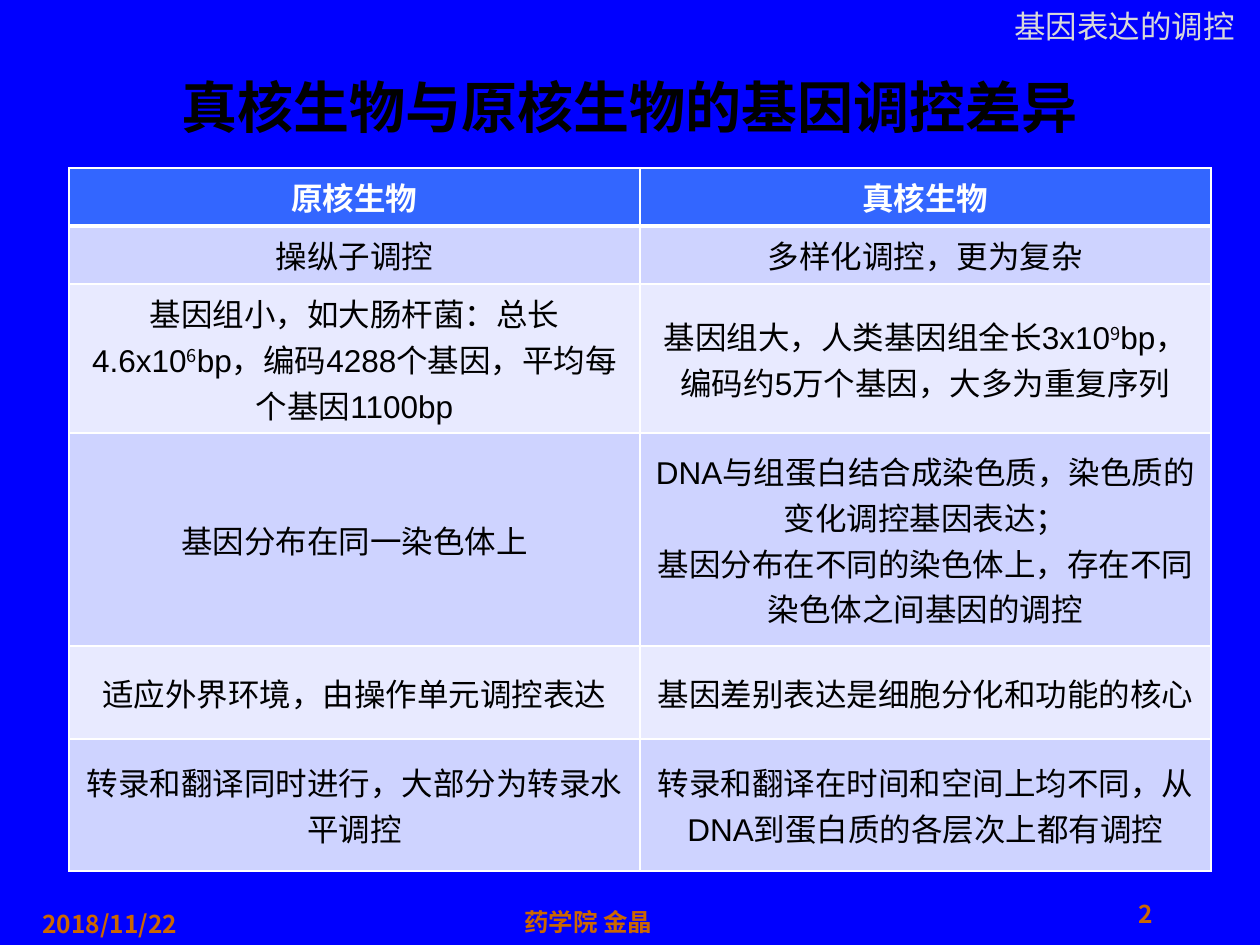
from lxml.etree import SubElement
from pptx import Presentation
from pptx.dml.color import RGBColor
from pptx.enum.text import MSO_ANCHOR as Anchor, PP_ALIGN as Align
from pptx.oxml.ns import qn
from pptx.util import Pt

EMU_PER_PX = 914400 / 126
CJK, LATIN = "Noto Sans CJK JP", "Arial"
WHITE, BLACK, ORANGE = "FFFFFF", "000000", "CC6600"
HEADER_FILL, BAND_FILLS = "3366FF", ("CED3FF", "E8EAFF")

COLUMN_WIDTHS = [571, 571]
ROW_HEIGHTS = [58, 58, 149, 213, 93, 132]
# A cell is a list of paragraphs; "^" encloses a superscript.
COMPARISON = [
    (["原核生物"], ["真核生物"]),
    (["操纵子调控"], ["多样化调控，更为复杂"]),
    (["基因组小，如大肠杆菌：总长4.6x10^6^bp，编码4288个基因，平均每个基因1100bp"],
     ["基因组大，人类基因组全长3x10^9^bp，编码约5万个基因，大多为重复序列"]),
    (["基因分布在同一染色体上"],
     ["DNA与组蛋白结合成染色质，染色质的变化调控基因表达；",
      "基因分布在不同的染色体上，存在不同染色体之间基因的调控"]),
    (["适应外界环境，由操作单元调控表达"], ["基因差别表达是细胞分化和功能的核心"]),
    (["转录和翻译同时进行，大部分为转录水平调控"],
     ["转录和翻译在时间和空间上均不同，从DNA到蛋白质的各层次上都有调控"]),
]


def px(length):
    return round(length * EMU_PER_PX)


def rgb(value):
    return RGBColor.from_string(value)


class SlideWriter:
    def __init__(self, slide, background):
        self.slide = slide
        slide.background.fill.solid()
        slide.background.fill.fore_color.rgb = rgb(background)

    def style(self, paragraph, size, color, bold, align, latin=CJK):
        paragraph.alignment = align
        font = paragraph.font
        font.size, font.bold, font.name = Pt(size), bold, latin
        font.color.rgb = rgb(color)
        defaults = paragraph._p.pPr.find(qn("a:defRPr"))
        SubElement(defaults, qn("a:ea"), typeface=CJK)

    def text(self, box, wording, size, color, bold=True, align=Align.LEFT,
             anchor=Anchor.MIDDLE, wrap=True):
        frame = self.slide.shapes.add_textbox(*map(px, box)).text_frame
        frame.word_wrap, frame.vertical_anchor = wrap, anchor
        paragraph = frame.paragraphs[0]
        paragraph.add_run().text = wording
        self.style(paragraph, size, color, bold, align)

    def table(self, left, top, widths, heights, rows):
        box = (left, top, sum(widths), sum(heights))
        grid = self.slide.shapes.add_table(
            len(rows), len(widths), *map(px, box)).table
        for column, width in zip(grid.columns, widths):
            column.width = px(width)
        for index, (height, row) in enumerate(zip(heights, rows)):
            grid.rows[index].height = px(height)
            for cell, paragraphs in zip(grid.rows[index].cells, row):
                self.cell(cell, paragraphs, index)

    def cell(self, cell, paragraphs, row):
        header = row == 0
        cell.vertical_anchor = Anchor.TOP if header else Anchor.MIDDLE
        frame = cell.text_frame
        for number, wording in enumerate(paragraphs):
            paragraph = frame.add_paragraph() if number else frame.paragraphs[0]
            self.superscripted(paragraph, wording)
            self.style(paragraph, 18, WHITE if header else BLACK, header,
                       Align.CENTER, LATIN)
        self.borders(cell, top=3 if row == 1 else 1, bottom=3 if header else 1)
        cell.fill.solid()
        cell.fill.fore_color.rgb = rgb(
            HEADER_FILL if header else BAND_FILLS[(row - 1) % 2])

    def superscripted(self, paragraph, wording):
        for number, part in enumerate(wording.split("^")):
            run = paragraph.add_run()
            run.text = part
            if number % 2:
                run.font.name = CJK
                run._r.get_or_add_rPr().set("baseline", "30000")

    def borders(self, cell, top, bottom):
        properties = cell._tc.get_or_add_tcPr()
        for side, width in (("L", 1), ("R", 1), ("T", top), ("B", bottom)):
            line = SubElement(properties, qn(f"a:ln{side}"), w=str(Pt(width)))
            fill = SubElement(line, qn("a:solidFill"))
            SubElement(fill, qn("a:srgbClr"), val=WHITE)


def main():
    deck = Presentation()
    deck.slide_width, deck.slide_height = px(1260), px(945)
    writer = SlideWriter(deck.slides.add_slide(deck.slide_layouts[6]), "0000FF")
    writer.text((1002, 1, 248, 50), "基因表达的调控", 18, "D9D9D9", bold=False,
                anchor=Anchor.TOP, wrap=False)
    writer.text((95, 28, 1070, 157), "真核生物与原核生物的基因调控差异", 32,
                BLACK, align=Align.CENTER)
    writer.table(69, 168, COLUMN_WIDTHS, ROW_HEIGHTS, COMPARISON)
    writer.text((30, 903, 234, 42), "2018/11/22", 14, ORANGE)
    writer.text((359, 901, 459, 42), "药学院 金晶", 14, ORANGE,
                align=Align.CENTER)
    writer.text((903, 882, 262, 63), "2", 14, ORANGE, align=Align.RIGHT)
    deck.save("out.pptx")


if __name__ == "__main__":
    main()
